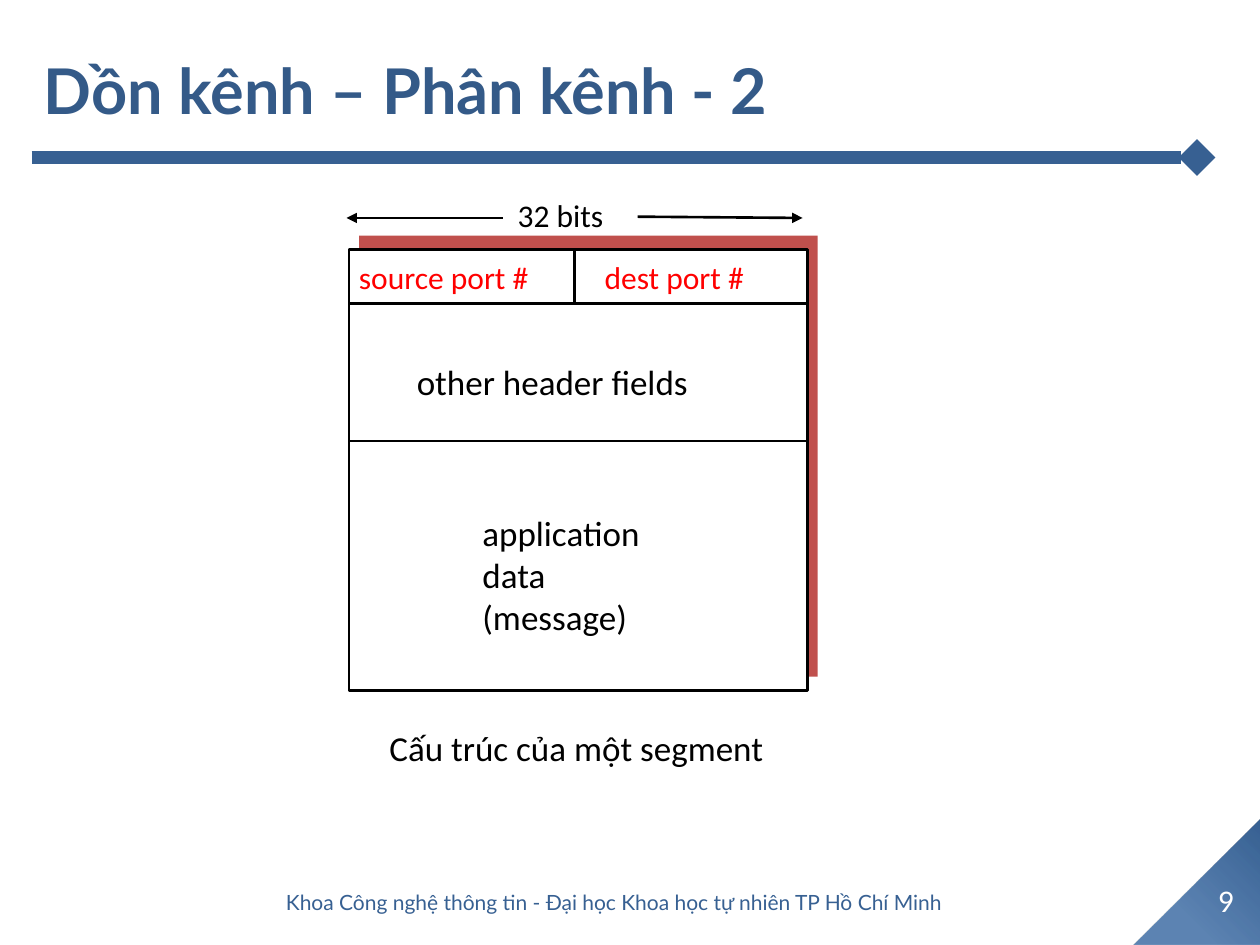
from lxml.etree import SubElement
from pptx import Presentation
from pptx.dml.color import RGBColor
from pptx.enum.shapes import MSO_CONNECTOR, MSO_SHAPE
from pptx.enum.text import MSO_ANCHOR, MSO_AUTO_SIZE, PP_ALIGN
from pptx.oxml import parse_xml
from pptx.oxml.ns import nsdecls, qn
from pptx.util import Inches, Pt

THEME = {
    "navy": "376092", "title": "345A88", "red": "FF0000", "shade": "C0504D",
    "black": "000000", "white": "FFFFFF",
    "head_font": "Lato", "body_font": "Calibri",
    "title_pt": 36, "body_pt": 20, "label_pt": 18, "footer_pt": 12,
    "line_pt": 1.5, "rule_pt": 7,
}

LEFT, TOP, WIDTH, HEIGHT = 2.77, 1.98, 3.64, 3.5
RIGHT = LEFT + WIDTH
PORTS_BOTTOM, HEADER_BOTTOM, PORT_SPLIT = 2.41, 3.5, 4.56
SHADE_DX, SHADE_DY = 0.08, -0.11

LABEL = {"size": "label_pt", "font": "body_font", "color": "black"}
PORT = {**LABEL, "color": "red"}
BODY = {**LABEL, "size": "body_pt"}
CENTER = {"align": PP_ALIGN.CENTER}
FIXED = {"wrap": True, "anchor": MSO_ANCHOR.MIDDLE}

TEXTS = [
    (["Dồn kênh – Phân kênh - 2"], (0.25, 0.08, 9.57, 1.25),
     {"size": "title_pt", "font": "head_font", "color": "title", "bold": True, **FIXED}),
    (["source port #"], (2.75, 2, 1.83, 0.4), PORT),
    (["dest port #"], (4.7, 2, 1.59, 0.4), PORT),
    (["32 bits"], (4.01, 1.51, 1.04, 0.4), LABEL),
    (["application", "data", "(message)"], (3.73, 4.01, 1.58, 1.1), BODY),
    (["other header fields"], (3.21, 2.81, 2.74, 0.43), BODY),
    (["Cấu trúc của một segment"], (2.83, 5.72, 3.49, 0.44), {**BODY, **CENTER}),
    (["9"], (9.46, 6.94, 0.54, 0.4), {**LABEL, "color": "white", **FIXED, **CENTER}),
    (["Khoa Công nghệ thông tin - Đại học Khoa học tự nhiên TP Hồ Chí Minh"],
     (1.25, 6.96, 7.25, 0.4),
     {"size": "footer_pt", "font": "head_font", "color": "navy", **FIXED, **CENTER}),
]

LINES = [
    ((0.25, 1.25), (9.5, 1.25), "navy", "rule_pt", "diamond"),
    ((LEFT, PORTS_BOTTOM), (RIGHT, PORTS_BOTTOM), "black", "line_pt", None),
    ((LEFT, HEADER_BOTTOM), (RIGHT, HEADER_BOTTOM), "black", "line_pt", None),
    ((PORT_SPLIT, PORTS_BOTTOM), (PORT_SPLIT, TOP), "black", "line_pt", None),
    ((5.06, 1.72), (6.37, 1.73), "black", "line_pt", "triangle"),
    ((3.99, 1.73), (2.75, 1.73), "black", "line_pt", "triangle"),
]

CORNER_FILL = f"""<a:gradFill {nsdecls("a")} rotWithShape="1"><a:gsLst>
<a:gs pos="0"><a:srgbClr val="{THEME["navy"]}"/></a:gs>
<a:gs pos="68000"><a:srgbClr val="3D6CA4"><a:alpha val="83000"/></a:srgbClr></a:gs>
</a:gsLst><a:path path="circle"><a:fillToRect l="100000" b="100000"/></a:path></a:gradFill>"""


def rgb(name):
    return RGBColor.from_string(THEME[name])


def inches(box):
    return [Inches(v) for v in box]


def add_block(s, kind, box, fill=None, line=None):
    sp = s.shapes.add_shape(kind, *inches(box))
    sp.shadow.inherit = False
    if fill:
        sp.fill.solid()
        sp.fill.fore_color.rgb = rgb(fill)
    if line:
        sp.line.color.rgb = rgb(line)
        sp.line.width = Pt(THEME["line_pt"])
    else:
        sp.line.fill.background()
    return sp


def add_corner(s):
    sp = add_block(s, MSO_SHAPE.RIGHT_TRIANGLE, (9, 6.5, 1, 1))
    sp.rotation = 270
    sp.element.spPr.find(qn("a:prstGeom")).addnext(parse_xml(CORNER_FILL))


def add_line(s, start, end, color, width, tail):
    cx = s.shapes.add_connector(MSO_CONNECTOR.STRAIGHT, *inches(start + end))
    cx.line.color.rgb = rgb(color)
    cx.line.width = Pt(THEME[width])
    if tail:
        SubElement(cx.line._get_or_add_ln(), qn("a:tailEnd"), type=tail)
    SubElement(cx.element.spPr, qn("a:effectLst"))


def add_text(s, paragraphs, box, style):
    tf = s.shapes.add_textbox(*inches(box)).text_frame
    wrap = style.get("wrap", False)
    frame = {
        "word_wrap": wrap,
        "auto_size": MSO_AUTO_SIZE.NONE if wrap else MSO_AUTO_SIZE.SHAPE_TO_FIT_TEXT,
        "vertical_anchor": style.get("anchor", MSO_ANCHOR.TOP),
    }
    for name, value in frame.items():
        setattr(tf, name, value)
    font = {
        "size": Pt(THEME[style["size"]]),
        "name": THEME[style["font"]],
        "bold": style.get("bold", False),
    }
    for i, text in enumerate(paragraphs):
        p = tf.add_paragraph() if i else tf.paragraphs[0]
        p.alignment = style.get("align", PP_ALIGN.LEFT)
        r = p.add_run()
        r.text = text
        for name, value in font.items():
            setattr(r.font, name, value)
        r.font.color.rgb = rgb(style["color"])


def main():
    prs = Presentation()
    prs.slide_width, prs.slide_height = Inches(10), Inches(7.5)
    s = prs.slides.add_slide(prs.slide_layouts[6])
    add_corner(s)
    add_block(s, MSO_SHAPE.RECTANGLE,
              (LEFT + SHADE_DX, TOP + SHADE_DY, WIDTH, HEIGHT), "shade")
    add_block(s, MSO_SHAPE.RECTANGLE, (LEFT, TOP, WIDTH, HEIGHT), "white", "black")
    for line in LINES:
        add_line(s, *line)
    for text in TEXTS:
        add_text(s, *text)
    prs.save("out.pptx")


if __name__ == "__main__":
    main()
